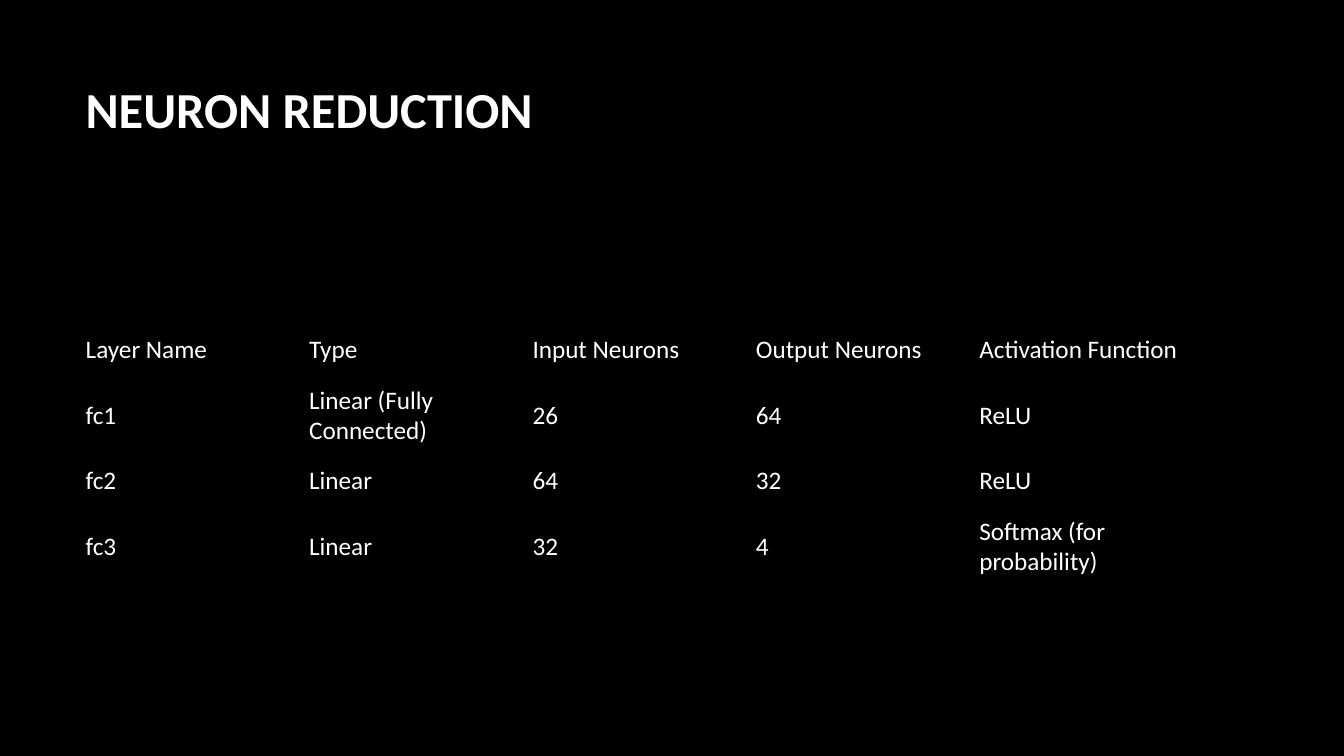
from pptx import Presentation
from pptx.dml.color import RGBColor
from pptx.enum import text
from pptx.util import Inches, Pt

COLORS = {"back": "000000", "ink": "FFFFFF"}
FONT = "Calibri"
PLAIN = "{2D5ABB26-0587-4C30-8999-92F81FD0307C}"  # no style, no grid
LAYERS = [
    ["Layer Name", "Type", "Input Neurons", "Output Neurons", "Activation Function"],
    ["fc1", "Linear (Fully Connected)", "26", "64", "ReLU"],
    ["fc2", "Linear", "64", "32", "ReLU"],
    ["fc3", "Linear", "32", "4", "Softmax (for probability)"],
]
HEIGHTS = [0.47, 0.83, 0.47, 0.83]


def color(name):
    return RGBColor.from_string(COLORS[name])


def write(frame, words, size, bold=False):
    run = frame.paragraphs[0].add_run()
    run.text = words
    run.font.name = FONT
    run.font.size = Pt(size)
    run.font.bold = bold
    run.font.color.rgb = color("ink")


def add_title(slide, box, words):
    frame = slide.shapes.add_textbox(*map(Inches, box)).text_frame
    frame.word_wrap = True
    frame.vertical_anchor = text.MSO_ANCHOR.MIDDLE
    write(frame, words, 36, bold=True)


def add_layers(slide, box):
    """Place the table of network layers, with equal columns, in the box."""
    count = len(LAYERS[0])
    table = slide.shapes.add_table(len(LAYERS), count, *map(Inches, box)).table
    table.first_row = table.horz_banding = False
    table._tbl.tblPr[0].text = PLAIN
    for col in table.columns:
        col.width = Inches(box[2] / count)
    for row, height, words in zip(table.rows, HEIGHTS, LAYERS):
        row.height = Inches(height)
        for cell, word in zip(row.cells, words):
            cell.fill.background()
            cell.vertical_anchor = text.MSO_ANCHOR.MIDDLE
            write(cell.text_frame, word, 18)


def main():
    deck = Presentation()
    deck.slide_width, deck.slide_height = Inches(13.33), Inches(7.5)
    slide = deck.slides.add_slide(deck.slide_layouts[6])
    slide.background.fill.solid()
    slide.background.fill.fore_color.rgb = color("back")
    add_title(slide, (0.75, 0.33, 11.08, 1.49), "NEURON REDUCTION")
    add_layers(slide, (0.75, 3.24, 11.08, sum(HEIGHTS)))
    deck.save("out.pptx")


if __name__ == "__main__":
    main()
